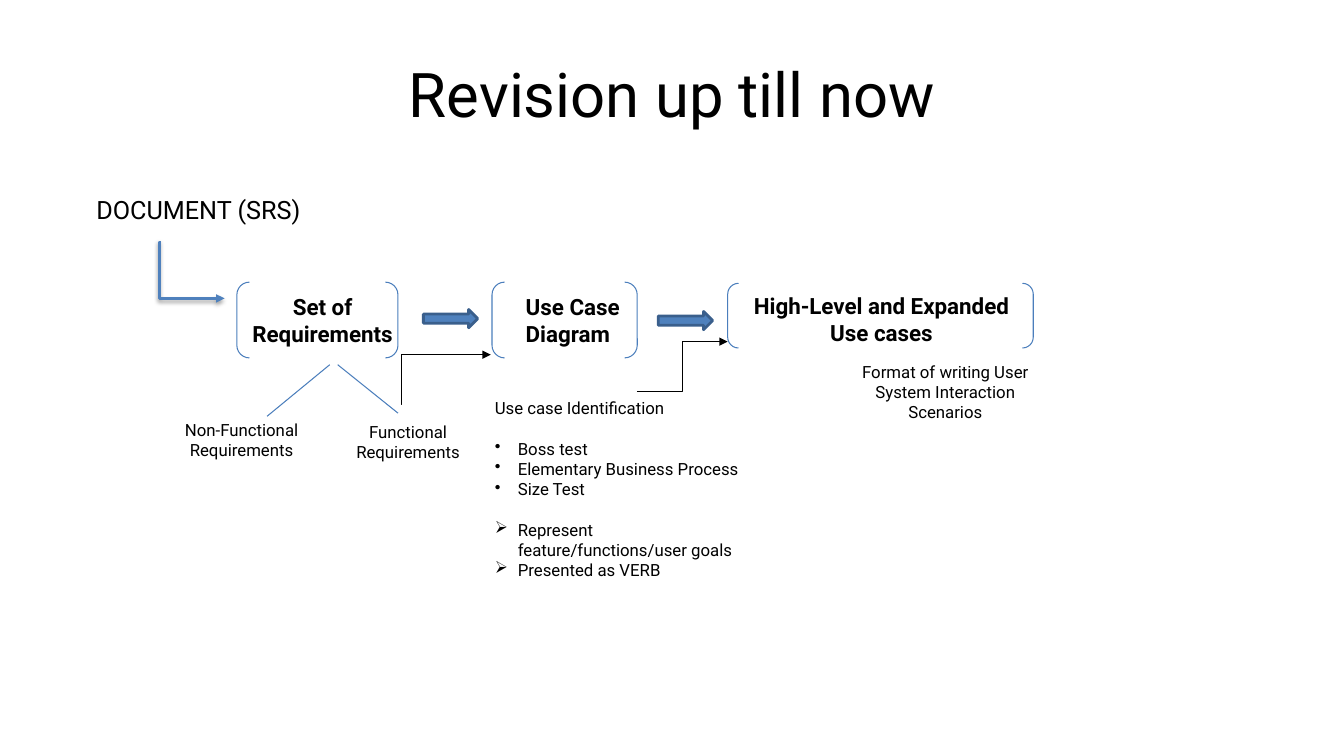
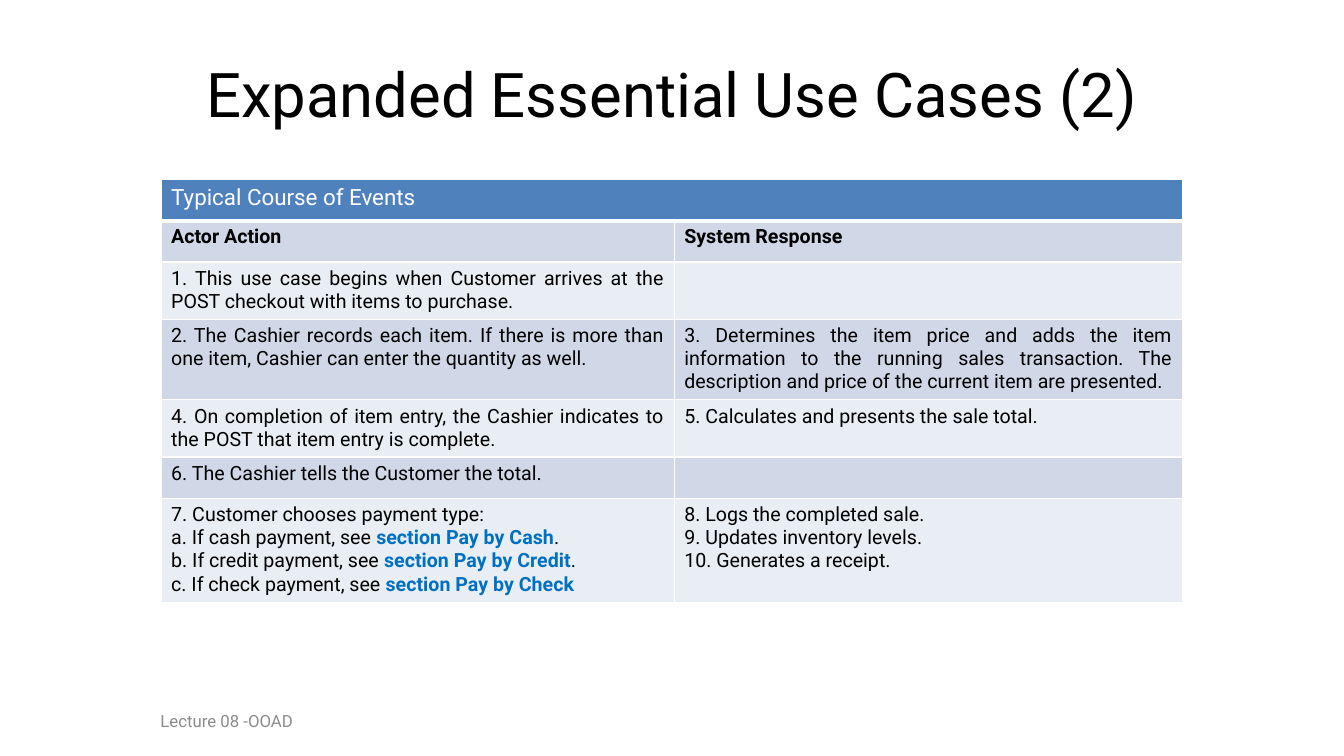
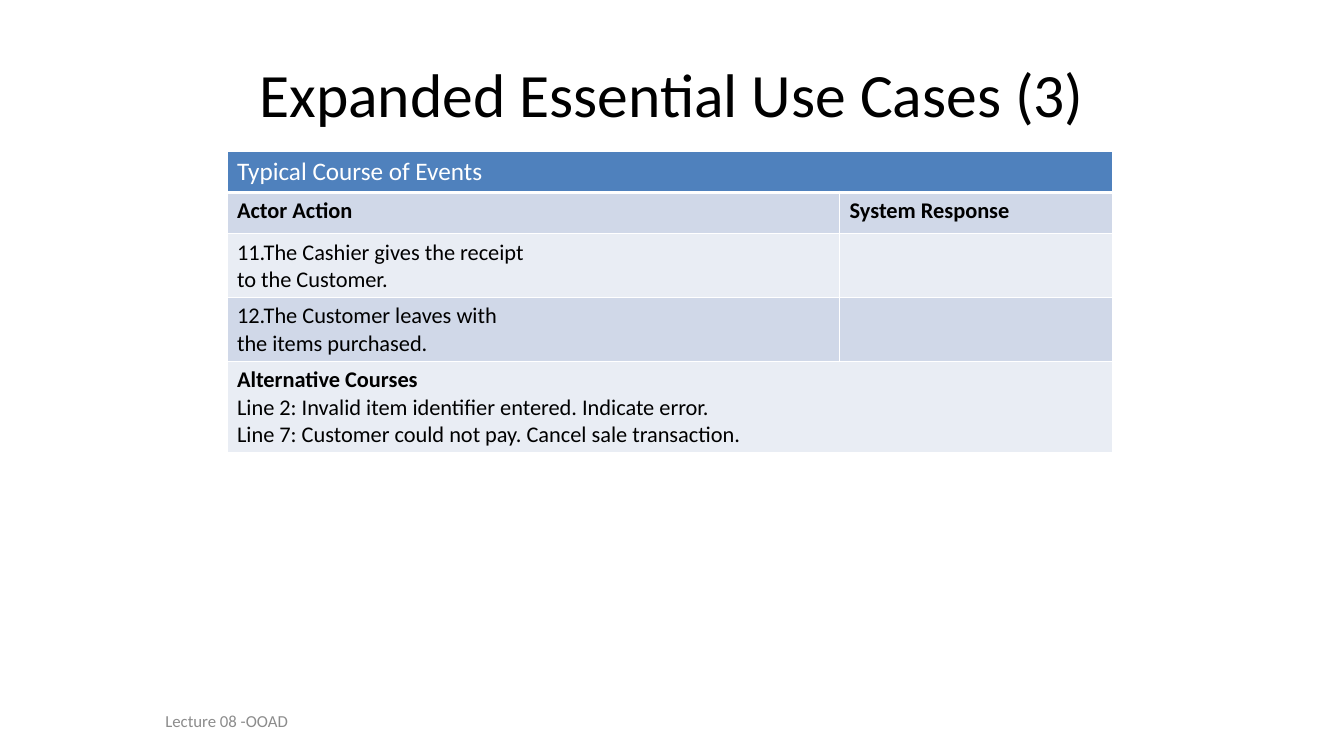
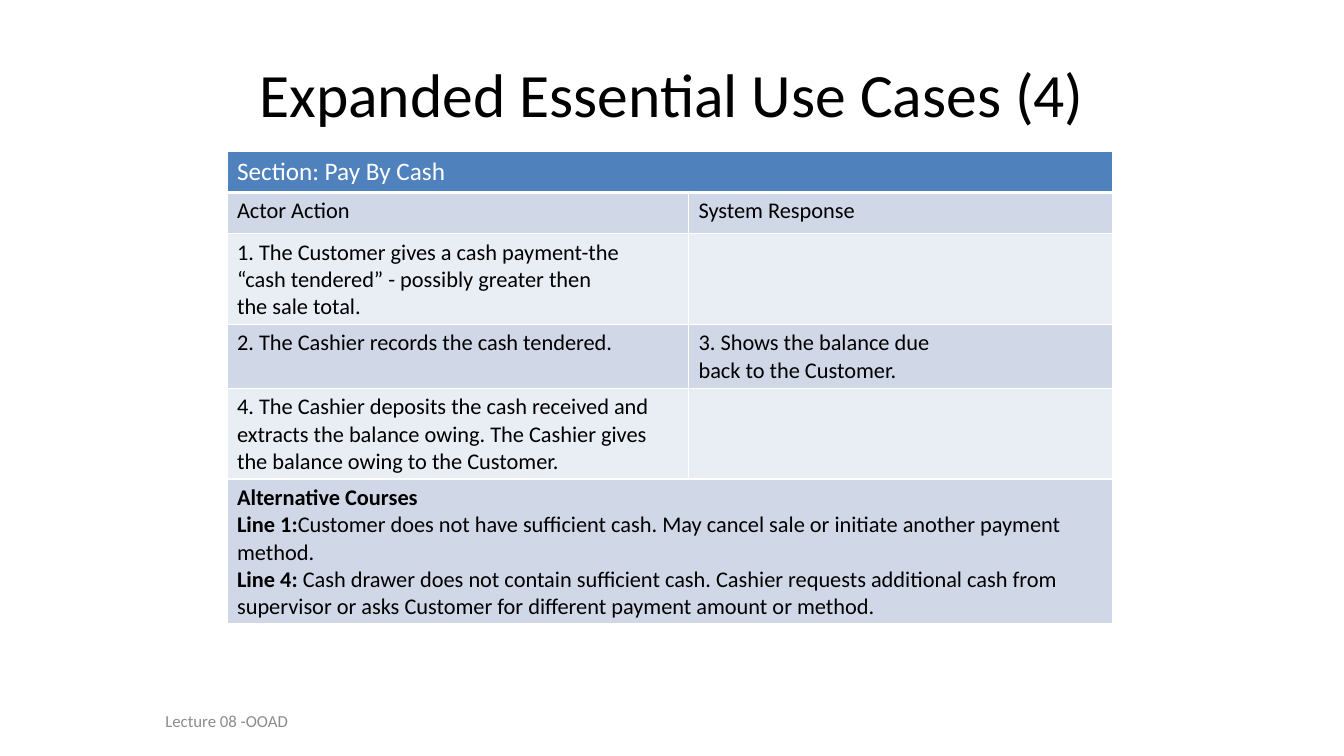
from dataclasses import dataclass
from typing import Optional, Sequence, Union

from lxml.etree import SubElement
from pptx import Presentation
from pptx.dml.color import RGBColor
from pptx.enum.shapes import MSO_CONNECTOR as Connector
from pptx.enum.shapes import MSO_SHAPE as Preset
from pptx.enum.text import MSO_ANCHOR as Anchor
from pptx.enum.text import PP_ALIGN as Align
from pptx.oxml.ns import qn
from pptx.util import Cm, Pt


@dataclass(frozen=True)
class Theme:
    black: str = "000000"
    white: str = "FFFFFF"
    grey: str = "8C8C8C"
    accent: str = "4F81BD"
    accent_dark: str = "3A5F8C"
    outline: str = "4B7EBC"
    link: str = "0070C0"
    bands: tuple = ("E9EDF4", "D0D8E8")
    title: int = 44
    document: int = 18
    step: int = 16
    note: int = 12
    roboto: str = "Roboto"
    calibri: str = "Calibri"


THEME = Theme()
EMU_PER_POINT = 12700


@dataclass(frozen=True)
class Style:
    font: str
    size: int
    color: str = THEME.black
    bold: bool = False
    align: Align = Align.LEFT


@dataclass(frozen=True)
class Span:
    text: str
    bold: bool = True
    color: str = THEME.black


@dataclass(frozen=True)
class Line:
    """A paragraph that needs more than plain text."""
    spans: Sequence[Union[str, Span]]
    bullet: str = ""
    space_before: float = 0


Lines = Sequence[Union[str, Line]]


@dataclass(frozen=True)
class Frame:
    """Left, top, width and height in centimetres."""
    left: float
    top: float
    width: float
    height: float

    def lengths(self) -> tuple:
        return Cm(self.left), Cm(self.top), Cm(self.width), Cm(self.height)


@dataclass(frozen=True)
class Label:
    frame: Frame
    lines: Lines
    size: int = THEME.note
    bold: bool = False
    align: Align = Align.CENTER


@dataclass(frozen=True)
class Link:
    start: tuple
    end: tuple
    color: str = THEME.black
    width: float = 0.75
    bend: Optional[int] = None  # thousandths of a percent; None is straight
    shadow: bool = False


@dataclass(frozen=True)
class EventTable:
    """Rows hold cells of lines; a row with one cell spans the table."""
    title: str
    frame: Frame
    columns: tuple
    rows: Sequence[Sequence[Lines]]
    font: str
    size: int
    body_align: Align = Align.LEFT
    bold_heads: bool = True


def rgb(color: str) -> RGBColor:
    return RGBColor.from_string(color)


def add_bullet(para, mark: str) -> None:
    properties = para._p.get_or_add_pPr()
    properties.set("marL", str(Cm(0.58)))
    properties.set("indent", str(-Cm(0.58)))
    SubElement(properties, qn("a:buChar"), char=mark)


def write(text_frame, lines: Lines, style: Style) -> None:
    for index, item in enumerate(lines):
        line = Line((item,)) if isinstance(item, str) else item
        para = text_frame.paragraphs[0] if index == 0 else text_frame.add_paragraph()
        para.alignment = style.align
        if line.space_before:
            para.space_before = Cm(line.space_before)
        if line.bullet:
            add_bullet(para, line.bullet)
        for piece in line.spans:
            span = Span(piece, style.bold, style.color) if isinstance(piece, str) else piece
            run = para.add_run()
            run.text = span.text
            formats = {"name": style.font, "size": Pt(style.size), "bold": span.bold}
            for name, value in formats.items():
                setattr(run.font, name, value)
            run.font.color.rgb = rgb(span.color)


def add_text(page, frame: Frame, lines: Lines, style: Style, anchor=Anchor.TOP) -> None:
    text_frame = page.shapes.add_textbox(*frame.lengths()).text_frame
    text_frame.word_wrap = True
    text_frame.vertical_anchor = anchor
    write(text_frame, lines, style)


def add_preset(page, preset, frame: Frame, line: str, width: float, fill: str = "") -> None:
    shape = page.shapes.add_shape(preset, *frame.lengths())
    shape.shadow.inherit = False
    shape.line.color.rgb = rgb(line)
    shape.line.width = Pt(width)
    if fill:
        shape.fill.solid()
        shape.fill.fore_color.rgb = rgb(fill)
    else:
        shape.fill.background()


def add_link(page, link: Link) -> None:
    kind = Connector.STRAIGHT if link.bend is None else Connector.ELBOW
    connector = page.shapes.add_connector(kind, *map(Cm, link.start + link.end))
    connector.line.color.rgb = rgb(link.color)
    connector.line.width = Pt(link.width)
    properties = connector._element.spPr
    if link.bend is not None:
        guides = properties.find(qn("a:prstGeom")).get_or_add_avLst()
        SubElement(guides, qn("a:gd"), name="adj1", fmla=f"val {link.bend}")
        SubElement(properties.find(qn("a:ln")), qn("a:tailEnd"), type="triangle")
    effects = SubElement(properties, qn("a:effectLst"))
    if link.shadow:
        shadow = SubElement(effects, qn("a:outerShdw"), blurRad="40000", dist="20000",
                            dir="5400000", rotWithShape="0")
        color = SubElement(shadow, qn("a:srgbClr"), val=THEME.black)
        SubElement(color, qn("a:alpha"), val="38000")


def style_cell(cell, fill: str, bottom: int) -> None:
    properties = cell._tc.get_or_add_tcPr()
    for side, points in {"L": 1, "R": 1, "T": 1, "B": bottom}.items():
        border = SubElement(properties, qn(f"a:ln{side}"), w=str(points * EMU_PER_POINT))
        paint = SubElement(border, qn("a:solidFill"))
        SubElement(paint, qn("a:srgbClr"), val=THEME.white)
    cell.fill.solid()
    cell.fill.fore_color.rgb = rgb(fill)


def add_event_table(page, table_data: EventTable) -> None:
    heads = (("Actor Action",), ("System Response",))
    rows = [((table_data.title,),), heads, *table_data.rows]
    widths = table_data.columns
    table = page.shapes.add_table(len(rows), len(widths), *table_data.frame.lengths()).table
    table.first_row = table.horz_banding = False
    for column, width in zip(table.columns, widths):
        column.width = Cm(width)
    font, size = table_data.font, table_data.size
    head = Style(font, size + 2, THEME.white)
    subhead = Style(font, size, bold=table_data.bold_heads)
    body = Style(font, size, align=table_data.body_align)
    for index, row in enumerate(rows):
        table.rows[index].height = Cm(1.04)
        style = (head, subhead)[index] if index < 2 else body
        cells = [table.cell(index, column) for column in range(len(widths))]
        for cell in cells:
            fill = THEME.bands[index % 2] if index else THEME.accent
            style_cell(cell, fill, 1 if index else 3)
        if len(row) == 1:
            cells[0].merge(cells[-1])
        for cell, lines in zip(cells, row):
            write(cell.text_frame, lines, style)


def add_page(deck, title: str, font: str, footer: str = ""):
    page = deck.slides.add_slide(deck.slide_layouts[6])
    add_text(page, Frame(1.7, 0.76, 30.48, 3.18), (title,),
             Style(font, THEME.title, align=Align.CENTER), Anchor.MIDDLE)
    if footer:
        add_text(page, Frame(0, 17.65, 11.43, 1.02), (footer,),
                 Style(font, THEME.note, THEME.grey, align=Align.CENTER), Anchor.MIDDLE)
    return page


BRACKETS = (
    Frame(5.97, 7.11, 4.06, 1.91),
    Frame(12.4, 7.11, 3.66, 1.91),
    Frame(18.34, 7.14, 7.7, 1.63),
)
BLOCK_ARROWS = (Frame(10.67, 7.8, 1.37, 0.46), Frame(16.59, 7.85, 1.37, 0.46))
LINKS = (
    Link((8.31, 9.19), (6.73, 10.49), THEME.outline),
    Link((10.03, 10.41), (8.51, 9.19), THEME.outline),
    Link((16.05, 9.86), (18.34, 8.61), bend=50000),
    Link((10.11, 10.19), (12.37, 8.94), bend=200),
    Link((4.06, 6.1), (5.66, 7.52), THEME.accent, 2, -2400, True),
)
GAP = 0.51
LABELS = (
    Label(Frame(2.18, 4.78, 6.32, 1.02), ("DOCUMENT (SRS)",), THEME.document, align=Align.LEFT),
    Label(Frame(5.97, 7.26, 4.32, 1.63), ("Set of Requirements",), THEME.step, True),
    Label(Frame(13, 7.26, 3.23, 1.63), ("Use Case", "Diagram"), THEME.step, True, Align.LEFT),
    Label(Frame(18.42, 7.24, 7.59, 1.63), ("High-Level and Expanded Use cases",), THEME.step, True),
    Label(Frame(4.39, 10.46, 3.4, 1.27), ("Non-Functional Requirements",)),
    Label(Frame(8.66, 10.49, 3.25, 1.27), ("Functional Requirements",)),
    Label(Frame(21.03, 8.99, 5.59, 1.8), ("Format of writing User System Interaction Scenarios",)),
    Label(Frame(12.22, 9.91, 7.16, 4.88), (
        "Use case Identification",
        Line(("Boss test",), "•", GAP),
        Line(("Elementary Business Process",), "•"),
        Line(("Size Test",), "•"),
        Line(("Represent feature/functions/user goals",), "➢", GAP),
        Line(("Presented as VERB",), "➢"),
    ), align=Align.LEFT),
)


def payment(letter: str, kind: str, end: str = ".") -> Line:
    section = Span(f"section Pay by {kind.capitalize()}", color=THEME.link)
    start = f"{letter}. If {kind} payment, see "
    return Line((start, section, end) if end else (start, section))


EMPTY = ()
ALTERNATIVES = Line((Span("Alternative Courses"),))
EVENT_TABLES = (
    EventTable("Typical Course of Events", Frame(4.06, 4.52, 25.73, 7.28), (12.93, 12.8), (
        (("1. This use case begins when Customer arrives at the POST checkout with items "
          "to purchase.",), EMPTY),
        (("2. The Cashier records each item. If there is more than one item, Cashier can "
          "enter the quantity as well.",),
         ("3. Determines the item price and adds the item information to the running sales "
          "transaction. The description and price of the current item are presented.",)),
        (("4. On completion of item entry, the Cashier indicates to the POST that item "
          "entry is complete.",),
         ("5. Calculates and presents the sale total.",)),
        (("6. The Cashier tells the Customer the total.",), EMPTY),
        (("7. Customer chooses payment type:", payment("a", "cash"),
          payment("b", "credit"), payment("c", "check", "")),
         ("8. Logs the completed sale.", "9. Updates inventory levels.",
          "10. Generates a receipt.")),
    ), THEME.roboto, 14, Align.JUSTIFY),
    EventTable("Typical Course of Events", Frame(5.72, 3.81, 22.32, 5.2), (15.44, 6.88), (
        (("11.The Cashier gives the receipt", "to the Customer."), EMPTY),
        (("12.The Customer leaves with", "the items purchased."), EMPTY),
        ((ALTERNATIVES, "Line 2: Invalid item identifier entered. Indicate error.",
          "Line 7: Customer could not pay. Cancel sale transaction."),),
    ), THEME.calibri, 16),
    EventTable("Section: Pay By Cash", Frame(5.72, 3.81, 22.32, 6.24), (11.63, 10.69), (
        (("1. The Customer gives a cash payment-the",
          "“cash tendered” - possibly greater then", "the sale total."), EMPTY),
        (("2. The Cashier records the cash tendered.",),
         ("3. Shows the balance due", "back to the Customer.")),
        (("4. The Cashier deposits the cash received and extracts the balance owing. "
          "The Cashier gives the balance owing to the Customer.",), EMPTY),
        ((ALTERNATIVES,
          Line((Span("Line 1:"), "Customer does not have sufficient cash. May cancel sale or "
                "initiate another payment method.")),
          Line((Span("Line 4: "), "Cash drawer does not contain sufficient cash. Cashier "
                "requests additional cash from supervisor or asks Customer for different "
                "payment amount or method."))),),
    ), THEME.calibri, 16, bold_heads=False),
)


def add_revision_page(deck) -> None:
    page = add_page(deck, "Revision up till now", THEME.roboto)
    for frame in BRACKETS:
        add_preset(page, Preset.DOUBLE_BRACKET, frame, THEME.outline, 0.75)
    for frame in BLOCK_ARROWS:
        add_preset(page, Preset.RIGHT_ARROW, frame, THEME.accent_dark, 2, THEME.accent)
    for link in LINKS:
        add_link(page, link)
    for label in LABELS:
        style = Style(THEME.roboto, label.size, bold=label.bold, align=label.align)
        add_text(page, label.frame, label.lines, style)


def main() -> None:
    deck = Presentation()
    deck.slide_width, deck.slide_height = Cm(33.87), Cm(19.05)
    add_revision_page(deck)
    for number, table_data in enumerate(EVENT_TABLES, start=2):
        page = add_page(deck, f"Expanded Essential Use Cases ({number})", table_data.font,
                        "Lecture 08 -OOAD")
        add_event_table(page, table_data)
    deck.save("out.pptx")


if __name__ == "__main__":
    main()
